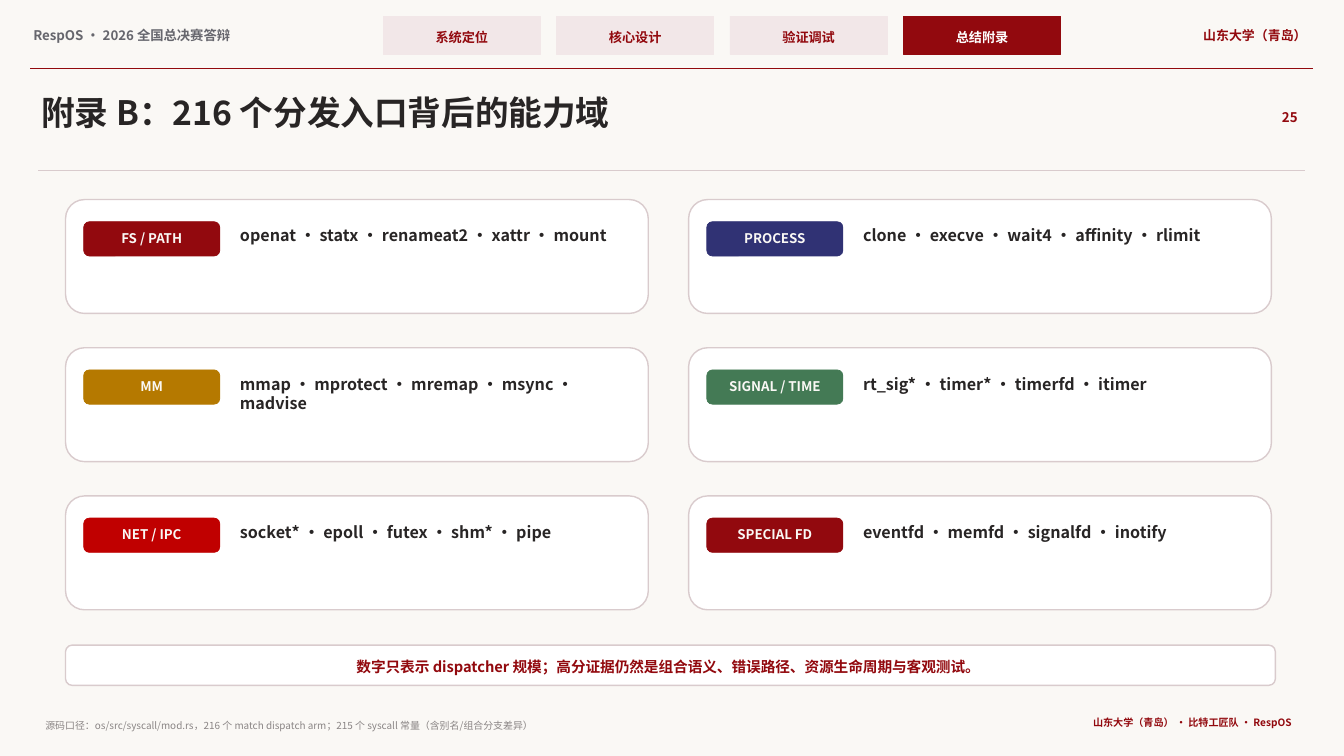
import pptx
import pptx.dml.color
import pptx.enum.shapes
import pptx.enum.text
import pptx.oxml.ns
import pptx.util
from lxml import etree

Inches = pptx.util.Inches
Pt = pptx.util.Pt
Align = pptx.enum.text.PP_ALIGN
Shape = pptx.enum.shapes.MSO_SHAPE

FONT = "Noto Sans CJK SC"
COLORS = {
    "paper": "FAF8F5", "white": "FFFFFF", "ink": "282525", "grey": "66666D",
    "pale_grey": "8A8585", "maroon": "92090E", "blush": "F2E7E8", "rule": "D9CBCD",
    "indigo": "303274", "ochre": "B57900", "green": "447A55", "red": "C00000",
}
TABS = ["系统定位", "核心设计", "验证调试", "总结附录"]
ACTIVE_TAB = "总结附录"
DOMAINS = [
    ("FS / PATH", "maroon", "openat · statx · renameat2 · xattr · mount"),
    ("PROCESS", "indigo", "clone · execve · wait4 · affinity · rlimit"),
    ("MM", "ochre", "mmap · mprotect · mremap · msync · madvise"),
    ("SIGNAL / TIME", "green", "rt_sig* · timer* · timerfd · itimer"),
    ("NET / IPC", "red", "socket* · epoll · futex · shm* · pipe"),
    ("SPECIAL FD", "maroon", "eventfd · memfd · signalfd · inotify"),
]
LABELS = [
    ("RespOS · 2026 全国总决赛答辩", (0.3, 0.24, 3.35, 0.24), 9.5, "grey", Align.LEFT, True),
    ("山东大学（青岛）", (11.35, 0.24, 1.64, 0.24), 9.2, "maroon", Align.RIGHT, True),
    ("附录 B：216 个分发入口背后的能力域", (0.38, 0.88, 11.85, 0.48), 24, "ink", Align.LEFT, True),
    ("25", (12.48, 1.05, 0.42, 0.24), 9.5, "maroon", Align.RIGHT, True),
    ("数字只表示 dispatcher 规模；高分证据仍然是组合语义、错误路径、资源生命周期与客观测试。",
     (0.88, 6.5, 11.5, 0.2), 10.5, "maroon", Align.CENTER, True),
    ("源码口径：os/src/syscall/mod.rs，216 个 match dispatch arm；215 个 syscall 常量（含别名/组合分支差异）",
     (0.42, 7.11, 9.7, 0.17), 7.1, "pale_grey", Align.LEFT, False),
    ("山东大学（青岛） · 比特工匠队 · RespOS", (9.72, 7.08, 3.12, 0.2), 7.2, "maroon", Align.RIGHT, True),
]
RULES = [(0.3, 13.02, 0.68, "maroon", 1.1), (0.38, 12.94, 1.69, "rule", 0.9)]


def rgb(name):
    return pptx.dml.color.RGBColor.from_string(COLORS[name])


def add_text(page, text, place, size, color, align=Align.LEFT, bold=True):
    box = page.shapes.add_textbox(*map(Inches, place))
    frame = box.text_frame
    frame.word_wrap = True
    frame.auto_size = pptx.enum.text.MSO_AUTO_SIZE.SHAPE_TO_FIT_TEXT
    frame.margin_left = frame.margin_right = Inches(0.03)
    frame.margin_top = frame.margin_bottom = Inches(0.03)
    para = frame.paragraphs[0]
    para.alignment = align
    span = para.add_run()
    span.text = text
    span.font.size = Pt(size)
    span.font.bold = bold
    span.font.name = FONT
    span.font.color.rgb = rgb(color)
    east_asian = etree.SubElement(span.font._element, pptx.oxml.ns.qn("a:ea"))
    east_asian.set("typeface", FONT)


def add_panel(page, kind, place, fill, line, width):
    panel = page.shapes.add_shape(kind, *map(Inches, place))
    panel.shadow.inherit = False
    panel.fill.solid()
    panel.fill.fore_color.rgb = rgb(fill)
    panel.line.color.rgb = rgb(line)
    panel.line.width = Pt(width)


def add_rule(page, left, right, top, color, width):
    rule = page.shapes.add_connector(
        pptx.enum.shapes.MSO_CONNECTOR.STRAIGHT,
        Inches(left), Inches(top), Inches(right), Inches(top))
    rule.line.color.rgb = rgb(color)
    rule.line.width = Pt(width)
    etree.SubElement(rule._element.spPr, pptx.oxml.ns.qn("a:effectLst"))


def add_tab(page, index, name):
    left = 3.8 + index * 1.72
    fill, color = ("maroon", "white") if name == ACTIVE_TAB else ("blush", "maroon")
    add_panel(page, Shape.RECTANGLE, (left, 0.16, 1.56, 0.38), fill, fill, 0.5)
    add_text(page, name, (left + 0.06, 0.26, 1.44, 0.18), 9.4, color, Align.CENTER)


def add_domain(page, index, name, color, calls):
    row, column = divmod(index, 2)
    left, top = 0.65 + column * 6.18, 1.98 + row * 1.47
    add_panel(page, Shape.ROUNDED_RECTANGLE, (left, top, 5.78, 1.13), "white", "rule", 1)
    add_panel(page, Shape.ROUNDED_RECTANGLE, (left + 0.18, top + 0.22, 1.35, 0.34), color, color, 0.5)
    add_text(page, name, (left + 0.24, top + 0.27, 1.23, 0.21), 9.5, "paper", Align.CENTER)
    add_text(page, calls, (left + 1.7, top + 0.23, 3.7, 0.5), 11.5, "ink")


def main():
    deck = pptx.Presentation()
    deck.slide_width, deck.slide_height = Inches(13.33), Inches(7.5)
    page = deck.slides.add_slide(deck.slide_layouts[6])
    page.background.fill.solid()
    page.background.fill.fore_color.rgb = rgb("paper")
    for index, name in enumerate(TABS):
        add_tab(page, index, name)
    for rule in RULES:
        add_rule(page, *rule)
    for index, domain in enumerate(DOMAINS):
        add_domain(page, index, *domain)
    add_panel(page, Shape.ROUNDED_RECTANGLE, (0.65, 6.4, 12, 0.4), "white", "rule", 1)
    for label in LABELS:
        add_text(page, *label)
    deck.save("out.pptx")


if __name__ == "__main__":
    main()
